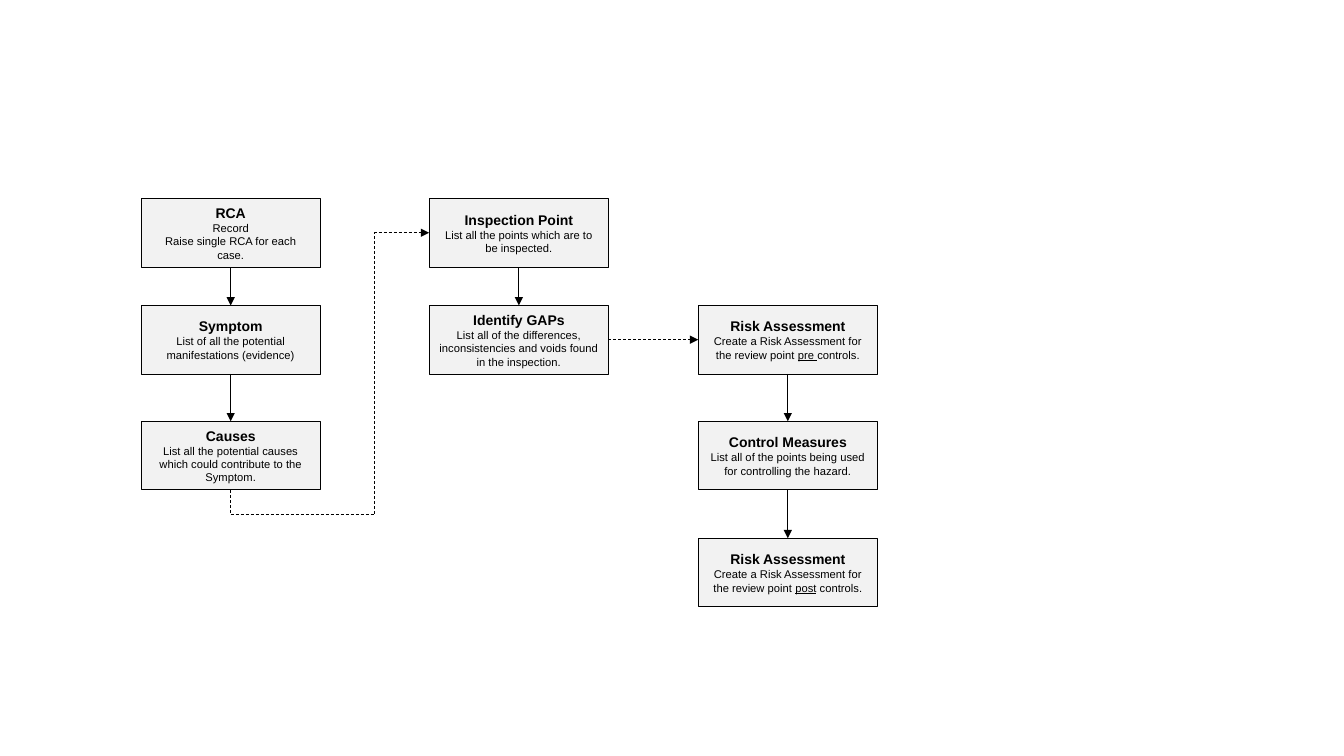
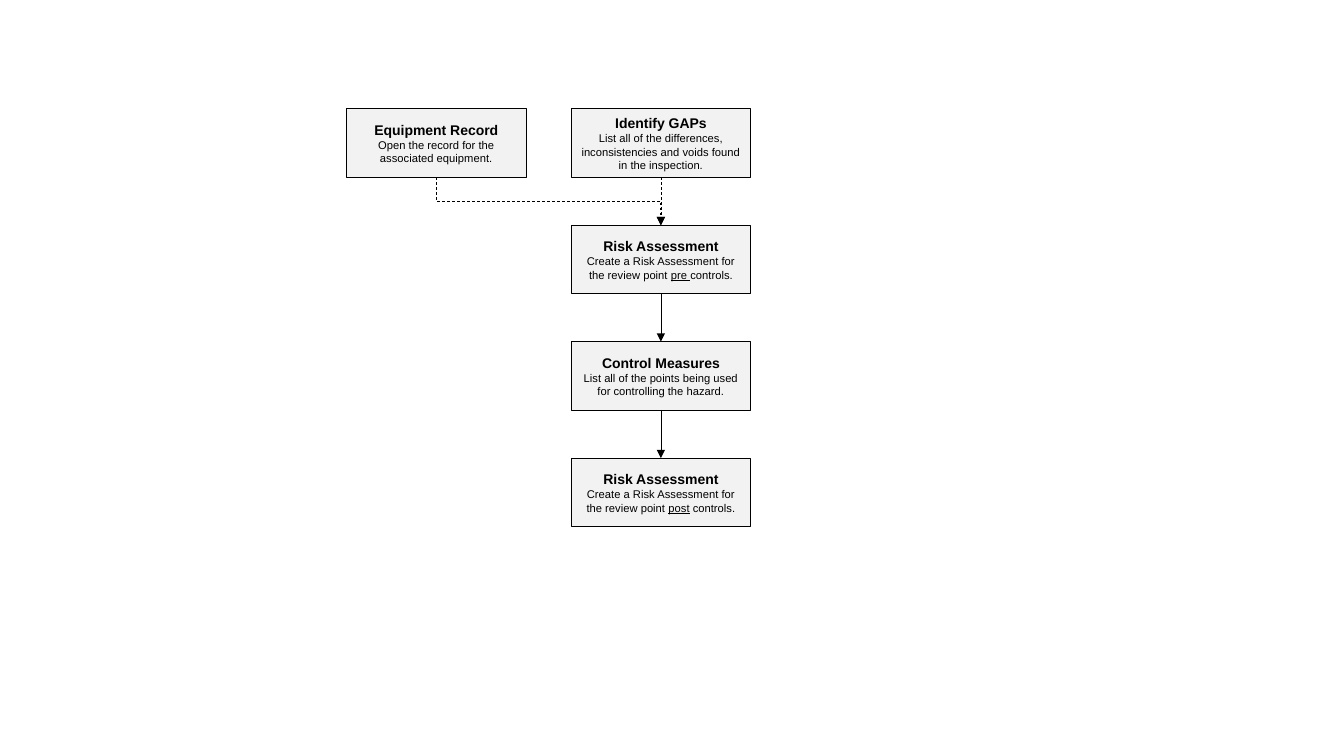
"""Two flow charts: from root cause to risk control, and the risk control chain."""
from lxml import etree
from pptx import Presentation
from pptx.dml.color import RGBColor
from pptx.enum import dml, shapes, text
from pptx.oxml import ns
from pptx.util import Inches, Pt

BLACK = RGBColor(0x00, 0x00, 0x00)
PALE_GREY = RGBColor(0xF2, 0xF2, 0xF2)
FONT = "Arial"
LINE_WIDTH = Pt(0.5)
STEP_WIDTH, STEP_HEIGHT = 1.78, 0.68
TOP, LEFT, BOTTOM, RIGHT = range(4)

GAPS = ("Identify GAPs", "List all of the differences, inconsistencies and voids found in the inspection.")
RISK_CHAIN = [
    ("Risk Assessment", "Create a Risk Assessment for the review point _pre _controls."),
    ("Control Measures", "List all of the points being used for controlling the hazard."),
    ("Risk Assessment", "Create a Risk Assessment for the review point _post_ controls."),
]


def add_step(slide, left, top, heading, *details):
    """Add a step box; underscores in the details enclose underlined words."""
    step = slide.shapes.add_shape(shapes.MSO_SHAPE.RECTANGLE, Inches(left), Inches(top),
                                  Inches(STEP_WIDTH), Inches(STEP_HEIGHT))
    step.shadow.inherit = False
    step.fill.solid()
    step.fill.fore_color.rgb = PALE_GREY
    step.line.color.rgb = BLACK
    step.line.width = LINE_WIDTH
    frame = step.text_frame
    frame.vertical_anchor = text.MSO_ANCHOR.MIDDLE
    for row, wording in enumerate((heading, *details)):
        paragraph = frame.add_paragraph() if row else frame.paragraphs[0]
        paragraph.alignment = text.PP_ALIGN.CENTER
        paragraph.font.name = FONT
        paragraph.font.size = Pt(8 if row else 10)
        paragraph.font.bold = row == 0
        paragraph.font.color.rgb = BLACK
        for part, words in enumerate(wording.split("_")):
            run = paragraph.add_run()
            run.text = words
            if part % 2:
                run.font.underline = True
    return step


def add_arrow(slide, source, target, leave=BOTTOM, enter=TOP, dashed=False, turn=0, bends=()):
    """Join two steps; a turn of 1 or -1 quarter gives an elbow with the given bends."""
    if turn:
        start_x, start_y = source.left + source.width // 2, source.top + source.height
        end_x = target.left + (target.width // 2 if enter == TOP else 0)
        end_y = target.top + (0 if enter == TOP else target.height // 2)
        middle_x, middle_y = (start_x + end_x) // 2, (start_y + end_y) // 2
        across, down = turn * (start_y - middle_y), turn * (middle_x - start_x)
        arrow = slide.shapes.add_connector(shapes.MSO_CONNECTOR.ELBOW, middle_x + across, middle_y + down,
                                           middle_x - across, middle_y - down)
        properties = arrow._element.spPr
        properties.find(ns.qn("a:xfrm")).set("rot", str(turn % 4 * 5400000))
        geometry = properties.find(ns.qn("a:prstGeom"))
        geometry.set("prst", f"bentConnector{len(bends) + 2}")
        guides = geometry.find(ns.qn("a:avLst"))
        for number, bend in enumerate(bends, 1):
            etree.SubElement(guides, ns.qn("a:gd"), name=f"adj{number}", fmla=f"val {bend}")
    else:
        arrow = slide.shapes.add_connector(shapes.MSO_CONNECTOR.STRAIGHT, 0, 0, 0, 0)
        arrow.begin_connect(source, leave)
        arrow.end_connect(target, enter)
    arrow.line.color.rgb = BLACK
    arrow.line.width = LINE_WIDTH
    if dashed:
        arrow.line.dash_style = dml.MSO_LINE.DASH
    etree.SubElement(arrow.line._get_or_add_ln(), ns.qn("a:tailEnd"), type="triangle")
    etree.SubElement(arrow._element.spPr, ns.qn("a:effectLst"))


deck = Presentation()
deck.slide_width, deck.slide_height = Inches(13.34), Inches(7.5)
blank = deck.slide_layouts[6]

overview = deck.slides.add_slide(blank)
row_tops = [1.97, 3.03, 4.18, 5.34]
columns = [
    (1.4, 0, [
        ("RCA", "Record", "Raise single RCA for each case."),
        ("Symptom", "List of all the potential manifestations (evidence)"),
        ("Causes", "List all the potential causes which could contribute to the Symptom."),
    ]),
    (4.26, 0, [("Inspection Point", "List all the points which are to be inspected."), GAPS]),
    (6.93, 1, RISK_CHAIN),
]
chains = []
for left, first_row, wordings in columns:
    chain = [add_step(overview, left, top, *wording)
             for top, wording in zip(row_tops[first_row:], wordings)]
    for upper, lower in zip(chain, chain[1:]):
        add_arrow(overview, upper, lower)
    chains.append(chain)
analysis, inspection, control = chains
add_arrow(overview, analysis[-1], inspection[0], enter=LEFT, dashed=True, turn=1, bends=(-9700, 72600))
add_arrow(overview, inspection[-1], control[0], RIGHT, LEFT, dashed=True)

assessment = deck.slides.add_slide(blank)
first_top, row_pitch = 1.08, 1.155
gaps, *control = [add_step(assessment, 5.67, first_top + row * row_pitch, *wording)
                  for row, wording in enumerate([GAPS, *RISK_CHAIN])]
equipment = add_step(assessment, 3.44, first_top, "Equipment Record",
                     "Open the record for the associated equipment.")
for upper, lower in zip(control, control[1:]):
    add_arrow(assessment, upper, lower)
add_arrow(assessment, gaps, control[0], dashed=True)
add_arrow(assessment, equipment, control[0], dashed=True, turn=-1, bends=(50000,))

deck.save("out.pptx")
